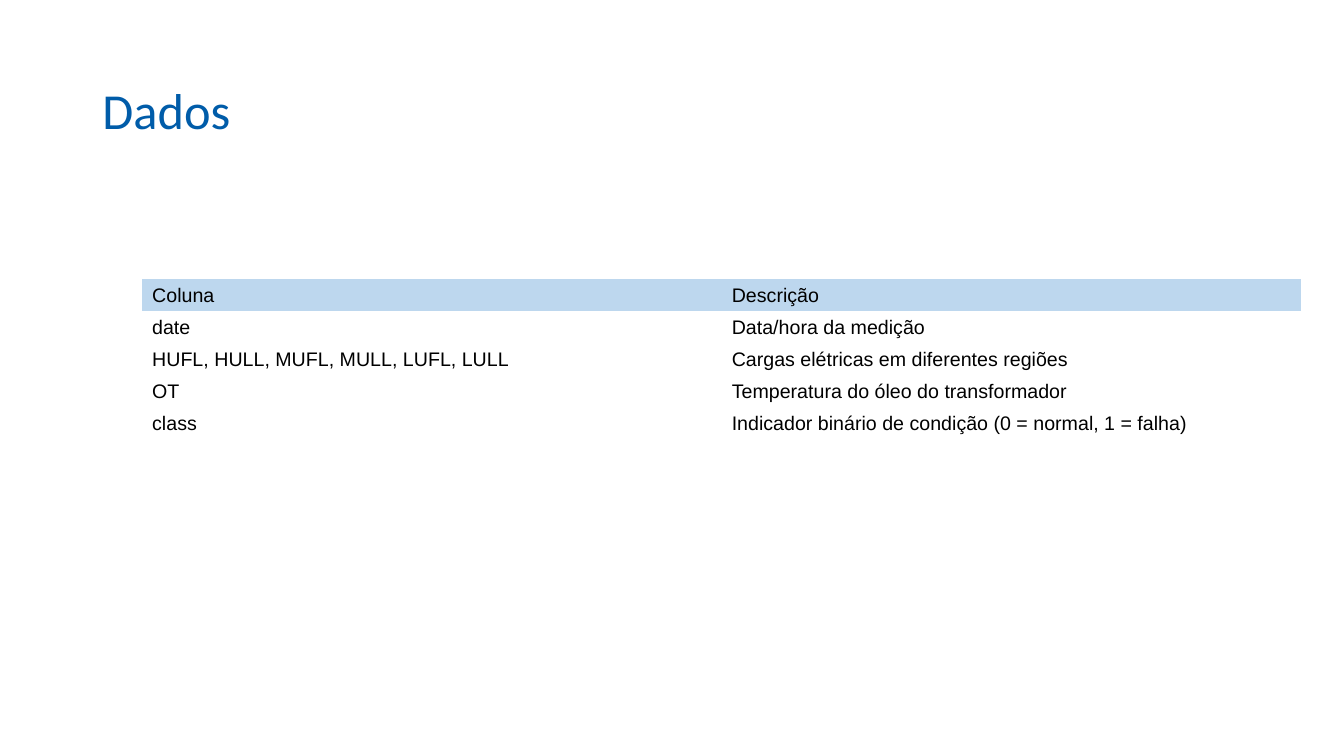
from dataclasses import dataclass

from pptx import Presentation
from pptx.dml.color import RGBColor
from pptx.enum.text import MSO_ANCHOR, MSO_AUTO_SIZE
from pptx.util import Pt


@dataclass(frozen=True)
class Theme:
    title_font: str = "Calibri"
    body_font: str = "Arial"
    title_size: int = 36
    body_size: int = 14
    title_color: str = "005CA9"
    body_color: str = "000000"
    header_fill: str = "BDD7EE"


THEME = Theme()
NO_STYLE_NO_GRID = "{2D5ABB26-0587-4C30-8999-92F81FD0307C}"
COLUMN_WIDTH = 414
ROW_HEIGHT = 22.8

DATA_COLUMNS = [
    ("Coluna", "Descrição"),
    ("date", "Data/hora da medição"),
    ("HUFL, HULL, MUFL, MULL, LUFL, LULL",
     "Cargas elétricas em diferentes regiões"),
    ("OT", "Temperatura do óleo do transformador"),
    ("class", "Indicador binário de condição (0 = normal, 1 = falha)"),
]


def add_span(para, text, font, size, color):
    span = para.add_run()
    span.text = text
    span.font.name = font
    span.font.size = Pt(size)
    span.font.color.rgb = RGBColor.from_string(color)


def set_title(page, text):
    title = page.shapes.title
    title.left, title.top = Pt(66), Pt(28.8)
    title.width, title.height = Pt(736), Pt(104.4)
    box = title.text_frame
    box.word_wrap = True
    box.auto_size = MSO_AUTO_SIZE.NONE
    box.vertical_anchor = MSO_ANCHOR.MIDDLE
    box.margin_left = box.margin_right = Pt(7.2)
    box.margin_top = box.margin_bottom = Pt(3.6)
    para = box.paragraphs[0]
    para.alignment = 1
    para.line_spacing = 0.9
    add_span(para, text, THEME.title_font, THEME.title_size, THEME.title_color)


def fill_cell(cell, text, is_header):
    cell.vertical_anchor = MSO_ANCHOR.MIDDLE
    if is_header:
        cell.fill.solid()
        cell.fill.fore_color.rgb = RGBColor.from_string(THEME.header_fill)
    else:
        cell.fill.background()
    add_span(cell.text_frame.paragraphs[0], text,
             THEME.body_font, THEME.body_size, THEME.body_color)


def add_data_table(page, rows, left, top):
    row_count, column_count = len(rows), len(rows[0])
    frame = page.shapes.add_table(
        row_count, column_count, Pt(left), Pt(top),
        Pt(COLUMN_WIDTH * column_count), Pt(ROW_HEIGHT * row_count))
    table = frame.table
    table.first_row = table.horz_banding = False
    # A plain style keeps the cells free of borders
    frame.element.xpath(".//a:tableStyleId")[0].text = NO_STYLE_NO_GRID
    for row_index, row in enumerate(rows):
        for column_index, text in enumerate(row):
            fill_cell(table.cell(row_index, column_index), text, row_index == 0)


def main():
    deck = Presentation()
    deck.slide_width, deck.slide_height = Pt(960), Pt(540)
    page = deck.slides.add_slide(deck.slide_layouts.get_by_name("Title Only"))

    # Heading
    set_title(page, "Dados")

    # Description of the data columns
    add_data_table(page, DATA_COLUMNS, left=101.5, top=199.4)

    deck.save("out.pptx")


if __name__ == "__main__":
    main()
